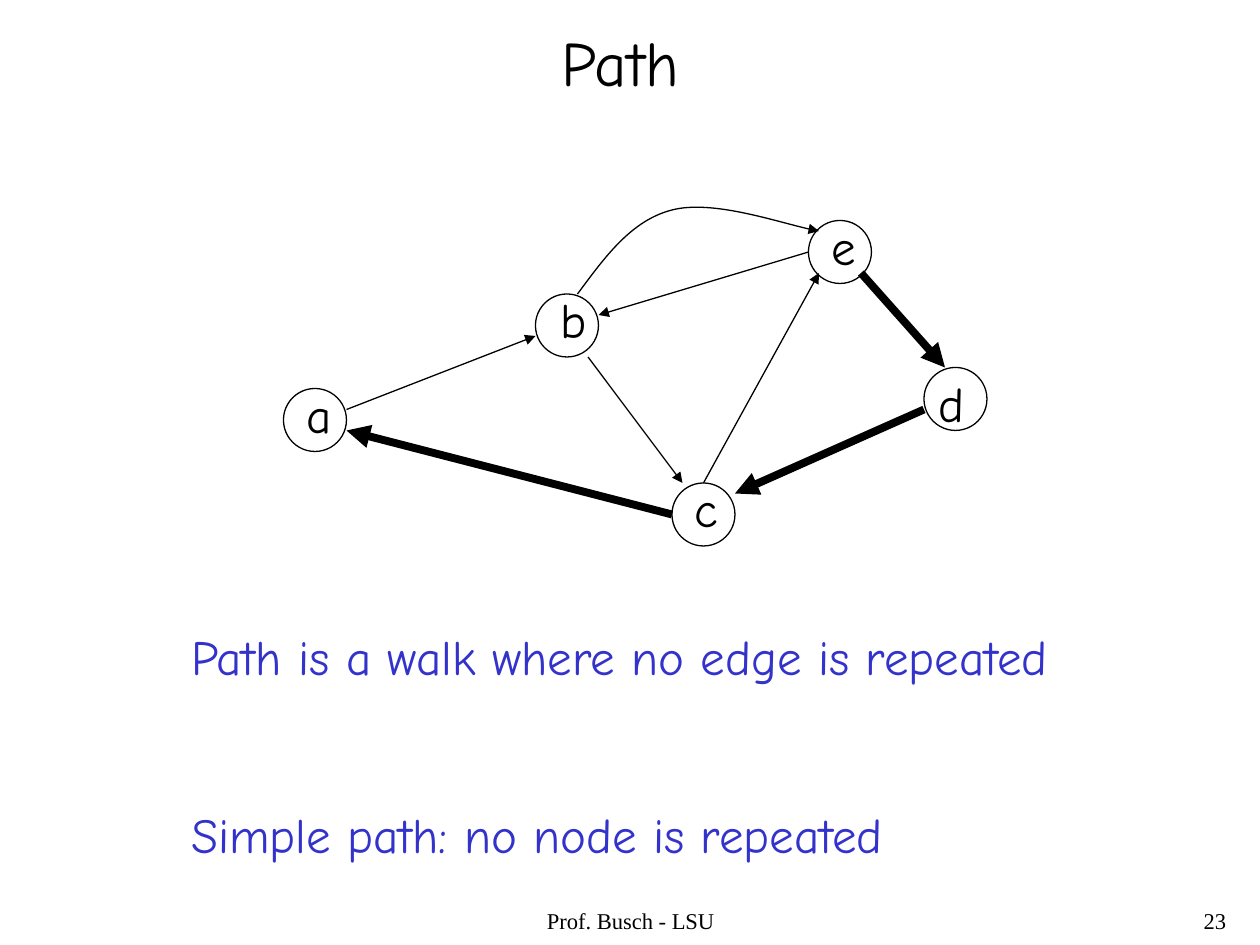
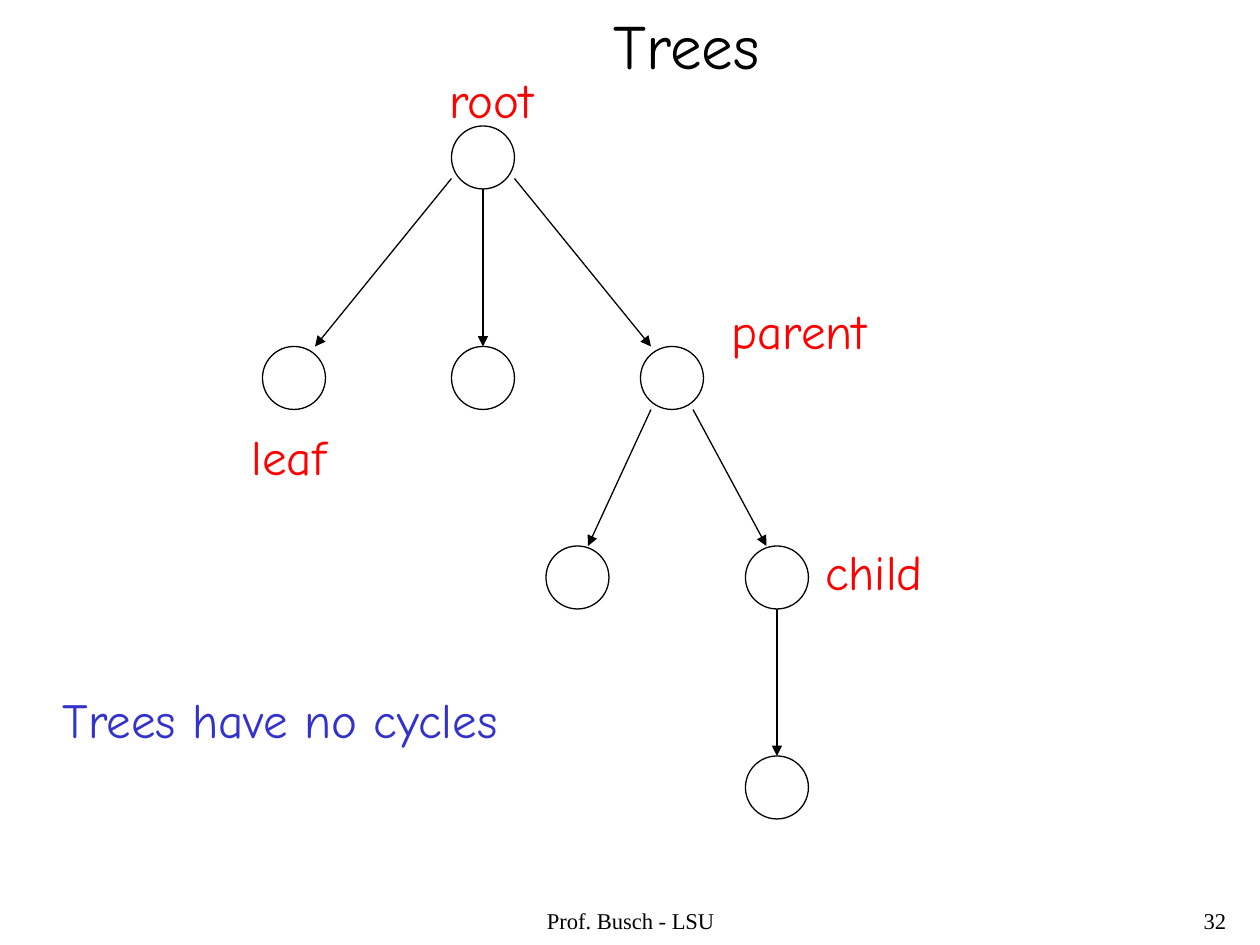
from lxml import etree
from pptx import Presentation
from pptx.dml.color import RGBColor
from pptx.enum.shapes import MSO_CONNECTOR, MSO_SHAPE
from pptx.enum.text import MSO_ANCHOR, MSO_AUTO_SIZE, PP_ALIGN
from pptx.oxml.ns import qn
from pptx.util import Inches, Pt

STRAIGHT, OVAL = MSO_CONNECTOR.STRAIGHT, MSO_SHAPE.OVAL
LEFT, CENTER, RIGHT = PP_ALIGN.LEFT, PP_ALIGN.CENTER, PP_ALIGN.RIGHT
TOP, GROW, FIXED = MSO_ANCHOR.TOP, MSO_AUTO_SIZE.SHAPE_TO_FIT_TEXT, MSO_AUTO_SIZE.NONE

COLORS = {"ink": "000000", "note": "3333CC", "role": "FF0000"}
HAND, SERIF = "Comic Neue", "Times New Roman"
THIN, THICK = 0.75, 4.5
NODE = 6  # diameter in grid units
TEXT_HEIGHT = 0.57


def grid(units):
    """Diagrams sit on a grid of twelve units to the inch."""
    return Inches(units / 12)


def shift(point, offset):
    return point[0] + offset[0], point[1] + offset[1]


def color(name):
    return RGBColor.from_string(COLORS[name])


def fill_text(sp, lines, size, color_name="ink", font=HAND, align=LEFT):
    tf = sp.text_frame
    tf.text = "\n".join(lines)
    tf.word_wrap = False
    tf.auto_size = GROW
    tf.vertical_anchor = TOP
    for p in tf.paragraphs:
        p.alignment = align
        for r in p.runs:
            r.font.size = Pt(size)
            r.font.name = font
            r.font.color.rgb = color(color_name)
    return tf


def add_text(shapes, left, top, width, height, lines, size=28, **style):
    """Place a text box; left and top are lengths, width and height inches."""
    sp = shapes.add_textbox(left, top, Inches(width), Inches(height))
    return fill_text(sp, lines, size, **style)


def style_line(sp, weight, arrow=False):
    sp.line.color.rgb = color("ink")
    sp.line.width = Pt(weight)
    if arrow:
        ln = sp.line._get_or_add_ln()
        etree.SubElement(ln, qn("a:tailEnd"), type="triangle")


def add_nodes(shapes, origin, nodes):
    for place in nodes.values():
        x, y = shift(origin, place)
        sp = shapes.add_shape(OVAL, grid(x), grid(y), grid(NODE), grid(NODE))
        sp.shadow.inherit = False
        sp.fill.background()
        style_line(sp, THIN)


def add_edges(shapes, origin, nodes, edges):
    """Draw arrows; each end is a node and an offset from its top left."""
    for start, start_offset, end, end_offset, weight in edges:
        x1, y1 = shift(origin, shift(nodes[start], start_offset))
        x2, y2 = shift(origin, shift(nodes[end], end_offset))
        line = shapes.add_connector(STRAIGHT, grid(x1), grid(y1), grid(x2), grid(y2))
        style_line(line, weight, arrow=True)
        etree.SubElement(line._element.spPr, qn("a:effectLst"))


def add_curve(shapes, origin, points):
    """Draw a Bezier arrow: a start, then three points for each segment."""
    (x, y), *rest = [tuple(map(grid, shift(origin, pt))) for pt in points]
    builder = shapes.build_freeform(x, y)
    builder.add_line_segments(rest, close=False)
    sp = builder.convert_to_shape()
    sp.shadow.inherit = False
    sp.fill.background()
    style_line(sp, THIN, arrow=True)
    outline = sp._element.xpath(".//a:path")[0]
    steps = outline.findall(qn("a:lnTo"))
    for i in range(0, len(steps), 3):
        bezier = etree.SubElement(outline, qn("a:cubicBezTo"))
        for step in steps[i:i + 3]:
            bezier.append(step[0])
            outline.remove(step)


def add_titled_slide(prs, title, box, number):
    s = prs.slides.add_slide(prs.slide_layouts[5])
    sp = s.shapes.title
    sp.left, sp.top, sp.width, sp.height = map(Inches, box)
    fill_text(sp, [title], 36)
    footers = ((3.42, 3.17, "Prof. Busch - LSU", CENTER), (7.75, 2.08, number, RIGHT))
    for left, width, text, align in footers:
        tf = add_text(s.shapes, Inches(left), Inches(7.17), width, 0.33, [text],
                      size=12.9, font=SERIF, align=align)
        tf.word_wrap = True
        tf.auto_size = FIXED
        tf.paragraphs[0].line_spacing = 0.9
    return s


def add_graph(s, origin):
    nodes = {"a": (0, 18), "b": (24, 9), "c": (37, 27), "d": (61, 16), "e": (50, 2)}
    label_offsets = {"b": (1.2, -1), "d": (0.2, 0)}
    edges = [
        ("a", (6, 2), "b", (0, 4), THIN),
        ("b", (5, 6), "c", (1, 0), THIN),
        ("c", (3, 0), "e", (1, 5), THIN),
        ("e", (0, 3), "b", (6, 2), THIN),
        ("e", (5, 5), "d", (2, 0), THICK),
        ("d", (0, 4), "c", (6, 1), THICK),
        ("c", (0, 3), "a", (6, 4), THICK),
    ]
    group = s.shapes.add_group_shape()
    add_nodes(group.shapes, origin, nodes)
    add_edges(group.shapes, origin, nodes, edges)
    for name, place in nodes.items():
        offset = label_offsets.get(name, (1, -1))
        x, y = shift(origin, shift(place, offset))
        add_text(group.shapes, grid(x), grid(y), 0.4, TEXT_HEIGHT, [name])
    add_curve(s.shapes, origin, [
        (28, 9), (30.6, 5.5), (33.1, 2), (37, 1), (40.8, 0), (48.1, 2.5), (51, 3)])


def add_tree(s, origin):
    nodes = {
        "root": (18, 0),
        "leaf": (0, 21), "middle": (18, 21), "parent": (36, 21),
        "sibling": (27, 40), "child": (46, 40),
        "grandchild": (46, 60),
    }
    edges = [
        ("root", (0, 5), "leaf", (5, 0), THIN),
        ("root", (3, 6), "middle", (3, 0), THIN),
        ("root", (6, 5), "parent", (1, 0), THIN),
        ("parent", (1, 6), "sibling", (4, 0), THIN),
        ("parent", (5, 6), "child", (2, 0), THIN),
        ("child", (3, 6), "grandchild", (3, 0), THIN),
    ]
    roles = [
        ("root", (-1.4, -6), 0.88),
        ("leaf", (-2.2, 7), 0.8),
        ("parent", (7.5, -5), 1.3),
        ("child", (6.4, -1), 1),
    ]
    add_nodes(s.shapes, origin, nodes)
    add_edges(s.shapes, origin, nodes, edges)
    for name, offset, width in roles:
        x, y = shift(origin, shift(nodes[name], offset))
        add_text(s.shapes, grid(x), grid(y), width, TEXT_HEIGHT, [name], color_name="role")


def build_path_slide(prs):
    s = add_titled_slide(prs, "Path", (4.36, 0.14, 1.16, 0.7), "23")
    add_graph(s, (27, 19))
    tf = add_text(s.shapes, Inches(1.42), Inches(4.92), 7.04, 1.99,
                  ["Path is a walk where no edge is repeated",
                   "Simple path: no node is repeated"], color_name="note")
    tf.paragraphs[1].space_before = Pt(68.5)


def build_trees_slide(prs):
    s = add_titled_slide(prs, "Trees", (4.77, 0, 1.37, 0.7), "32")
    add_tree(s, (25, 12))
    add_text(s.shapes, Inches(0.4), Inches(5.42), 3.67, TEXT_HEIGHT,
             ["Trees have no cycles"], color_name="note")


def main():
    prs = Presentation()
    prs.slide_width, prs.slide_height = Inches(10), Inches(7.5)
    build_path_slide(prs)
    build_trees_slide(prs)
    prs.save("out.pptx")


if __name__ == "__main__":
    main()
